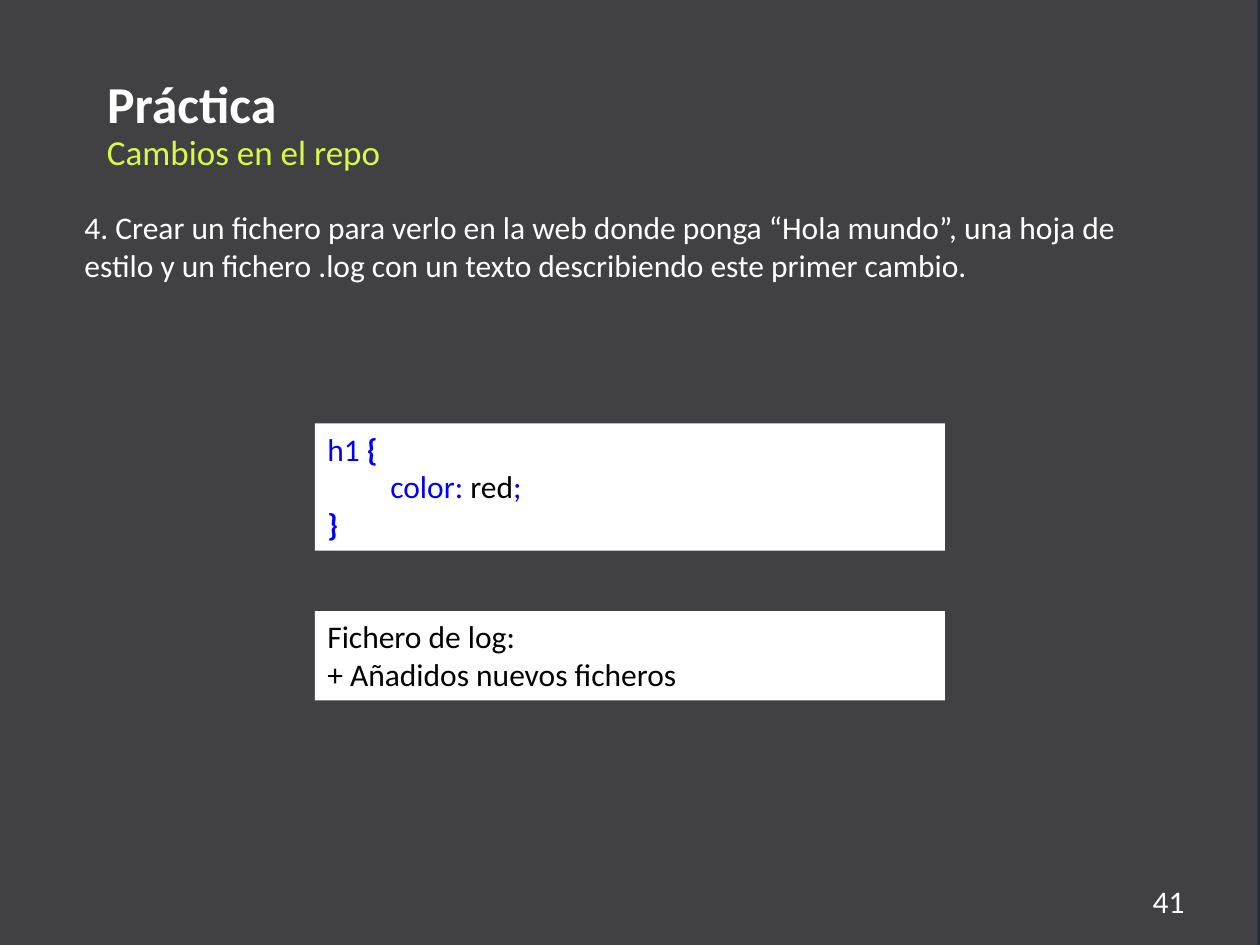
from pptx import Presentation
from pptx.dml.color import RGBColor
from pptx.enum.shapes import MSO_SHAPE
from pptx.enum.text import MSO_ANCHOR, MSO_AUTO_SIZE, PP_ALIGN
from pptx.oxml.ns import qn
from pptx.util import Inches, Pt

RECTANGLE = MSO_SHAPE.RECTANGLE
TOP = MSO_ANCHOR.TOP
NO_AUTOSIZE = MSO_AUTO_SIZE.NONE
LEFT, RIGHT = PP_ALIGN.LEFT, PP_ALIGN.RIGHT

COLORS = {
    "navy": "1E2E3E",
    "charcoal": "414143",
    "white": "FFFFFF",
    "black": "000000",
    "lime": "D6FB47",
    "blue": "0000FF",
}


class SlideBuilder:
    font_name = "Calibri"
    body_size = 18

    def __init__(self, slide):
        self.slide = slide

    def color(self, name):
        return RGBColor.from_string(COLORS[name])

    def background(self, name):
        fill = self.slide.background.fill
        fill.solid()
        fill.fore_color.rgb = self.color(name)

    def rectangle(self, box, fill):
        shape = self.slide.shapes.add_shape(RECTANGLE, *map(Inches, box))
        shape.shadow.inherit = False
        shape.fill.solid()
        shape.fill.fore_color.rgb = self.color(fill)
        shape.line.fill.background()
        return shape

    def backdrop(self, box, fill):
        element = self.rectangle(box, fill)._element
        element.getparent().insert(2, element)

    def prepare_frame(self, shape):
        frame = shape.text_frame
        frame.word_wrap = True
        frame.auto_size = NO_AUTOSIZE
        frame.vertical_anchor = TOP
        return frame

    def format_paragraph(self, paragraph, color, size=body_size, bold=False, align=LEFT):
        paragraph.alignment = align
        paragraph.space_before = Pt(0)
        font = paragraph.font
        font.name = self.font_name
        font.size = Pt(size)
        font.bold = bold
        font.color.rgb = self.color(color)

    def set_text(self, shape, text, color, **style):
        paragraph = self.prepare_frame(shape).paragraphs[0]
        paragraph.text = text
        self.format_paragraph(paragraph, color, **style)

    def placeholder(self, index, box, text, color, **style):
        shape = self.slide.placeholders[index]
        shape.left, shape.top, shape.width, shape.height = map(Inches, box)
        if index:
            properties = shape.text_frame.paragraphs[0]._p.get_or_add_pPr()
            properties.set("marL", "0")
            properties.set("indent", "0")
            properties.append(properties.makeelement(qn("a:buNone"), {}))
        self.set_text(shape, text, color, **style)

    def text(self, box, text, color, **style):
        shape = self.slide.shapes.add_textbox(*map(Inches, box))
        self.set_text(shape, text, color, **style)

    def panel(self, box, lines, color):
        frame = self.prepare_frame(self.rectangle(box, "white"))
        for number, line in enumerate(lines):
            paragraph = frame.add_paragraph() if number else frame.paragraphs[0]
            self.format_paragraph(paragraph, color)
            for text, run_color, bold in line:
                run = paragraph.add_run()
                run.text = text
                if run_color != color:
                    run.font.color.rgb = self.color(run_color)
                if bold:
                    run.font.bold = True


def main():
    presentation = Presentation()
    presentation.slide_width = Inches(10)
    presentation.slide_height = Inches(7.5)
    builder = SlideBuilder(presentation.slides.add_slide(presentation.slide_layouts[1]))

    builder.background("navy")
    builder.backdrop((-0.04, 0, 10.02, 7.5), "charcoal")
    builder.placeholder(0, (0.75, 0.52, 8.11, 0.55), "Práctica", "white", size=29.6, bold=True)
    builder.text((0.75, 0.99, 8.75, 0.47), "Cambios en el repo", "lime", size=20)
    builder.placeholder(
        1,
        (0.57, 1.6, 8.67, 0.71),
        "4. Crear un fichero para verlo en la web donde ponga “Hola mundo”, una hoja de "
        "estilo y un fichero .log con un texto describiendo este primer cambio.",
        "white",
    )

    style_sheet = [
        [("h1 ", "blue", False), ("{", "blue", True)],
        [("\tcolor: ", "blue", False), ("red", "black", False), (";", "blue", False)],
        [("}", "blue", True)],
    ]
    builder.panel((2.5, 3.36, 5, 1.01), style_sheet, "blue")

    log_file = [
        [("Fichero de log:", "black", False)],
        [("+ Añadidos nuevos ficheros", "black", False)],
    ]
    builder.panel((2.5, 4.85, 5, 0.71), log_file, "black")

    builder.text((8.54, 6.95, 0.96, 0.4), "41", "white", align=RIGHT)
    presentation.save("out.pptx")


if __name__ == "__main__":
    main()
